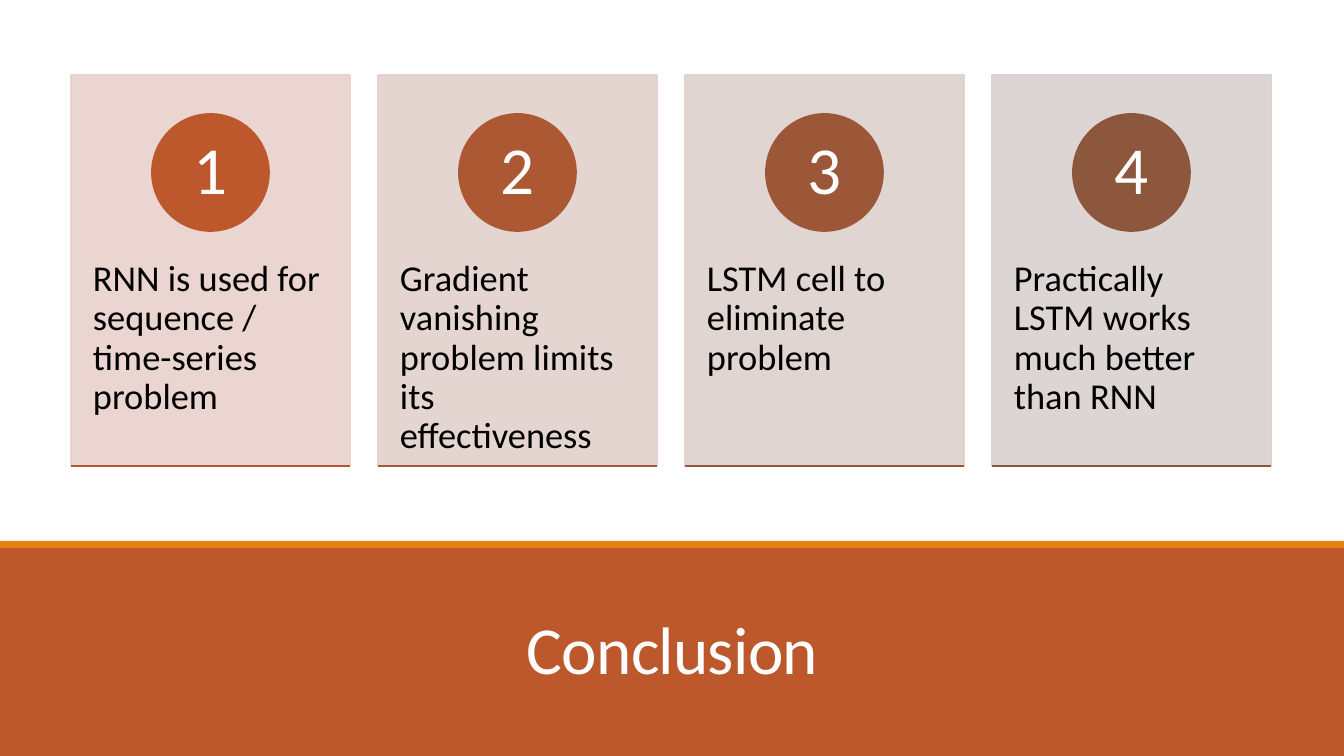
from lxml import etree
from pptx import Presentation
from pptx.dml.color import RGBColor
from pptx.enum.shapes import MSO_CONNECTOR, MSO_SHAPE
from pptx.enum.text import MSO_ANCHOR, MSO_AUTO_SIZE, PP_ALIGN
from pptx.oxml.ns import qn
from pptx.util import Emu, Pt

RECT, OVAL = MSO_SHAPE.RECTANGLE, MSO_SHAPE.OVAL
LINE = MSO_CONNECTOR.STRAIGHT
TOP, MIDDLE, BOTTOM = MSO_ANCHOR.TOP, MSO_ANCHOR.MIDDLE, MSO_ANCHOR.BOTTOM
LEFT, CENTER = PP_ALIGN.LEFT, PP_ALIGN.CENTER
FIXED = MSO_AUTO_SIZE.NONE
SCALE = 914400 / 100.8


def px(*vals):
    """Turn px lengths into a list of EMU lengths."""
    return [Emu(round(v * SCALE)) for v in vals]


def write(shape, text, size, color, align, anchor, space, insets):
    """Set the text of a shape; insets are left, top, right, bottom in px."""
    frame = shape.text_frame
    frame.text = text
    frame.word_wrap = True
    frame.auto_size = FIXED
    frame.vertical_anchor = anchor
    (frame.margin_left, frame.margin_top,
     frame.margin_right, frame.margin_bottom) = px(*insets)
    para = frame.paragraphs[0]
    para.alignment = align
    para.line_spacing = space
    para.font.name = "Calibri"
    para.font.size = Pt(size)
    para.font.color.rgb = RGBColor.from_string(color)


CARDS = [
    ("RNN is used for sequence / time-series problem",
     "E8D1CD", "BD582C", "B5582F"),
    ("Gradient vanishing problem limits its effectiveness",
     "E3D1CD", "AC5833", "A45836"),
    ("LSTM cell to eliminate problem",
     "DED1CE", "9C5739", "95573B"),
    ("Practically LSTM works much better than RNN",
     "D9D1CF", "8D573E", "865640"),
]
X, Y, WIDTH, HEIGHT, PITCH = 71, 75, 279, 391, 307
DISC = 117

prs = Presentation()
prs.slide_width, prs.slide_height = px(1344, 756)
slide = prs.slides.add_slide(prs.slide_layouts[5])
shapes = slide.shapes

# Band across the foot of the slide
for top, height, color in [(546, 210, "BD582C"), (541, 7, "E48312")]:
    band = shapes.add_shape(RECT, *px(0, top, 1344, height))
    band.shadow.inherit = False
    band.fill.solid()
    band.fill.fore_color.rgb = RGBColor.from_string(color)
    band.line.fill.background()

title = shapes.title
title.left, title.top, title.width, title.height = px(118, 579, 1109, 114)
write(title, "Conclusion", 48, "FFFFFF", CENTER, BOTTOM, 0.85, (10, 5, 10, 5))
title.text_frame.paragraphs[0].runs[0]._r.get_or_add_rPr().set("spc", "-50")
shapes._spTree.append(title._element)  # bring in front of the band

# Numbered cards
for i, (text, pale, dark, edge) in enumerate(CARDS):
    left = X + i * PITCH
    card = shapes.add_shape(RECT, *px(left, Y, WIDTH, HEIGHT))
    disc = shapes.add_shape(
        OVAL, *px(left + (WIDTH - DISC) / 2, 114, DISC, DISC))
    for shape, color in [(card, pale), (disc, dark)]:
        shape.shadow.inherit = False
        shape.fill.solid()
        shape.fill.fore_color.rgb = RGBColor.from_string(color)
        shape.line.color.rgb = RGBColor.from_string(color)
        shape.line.width = Pt(1.25)
    for tone in card._element.spPr.iter(qn("a:srgbClr")):
        etree.SubElement(tone, qn("a:alpha")).set("val", "90000")
    write(card, text, 26, "000000", LEFT, TOP, 0.9, (22, 185, 22, 36))
    write(disc, str(i + 1), 48, "FFFFFF", CENTER, MIDDLE, 0.9, (9, 1, 9, 1))

    base = Y + HEIGHT
    rule = shapes.add_connector(LINE, *px(left, base, left + WIDTH, base))
    rule.line.color.rgb = RGBColor.from_string(edge)
    rule.line.width = Pt(1.25)
    etree.SubElement(rule._element.spPr, qn("a:effectLst"))

prs.save("out.pptx")
